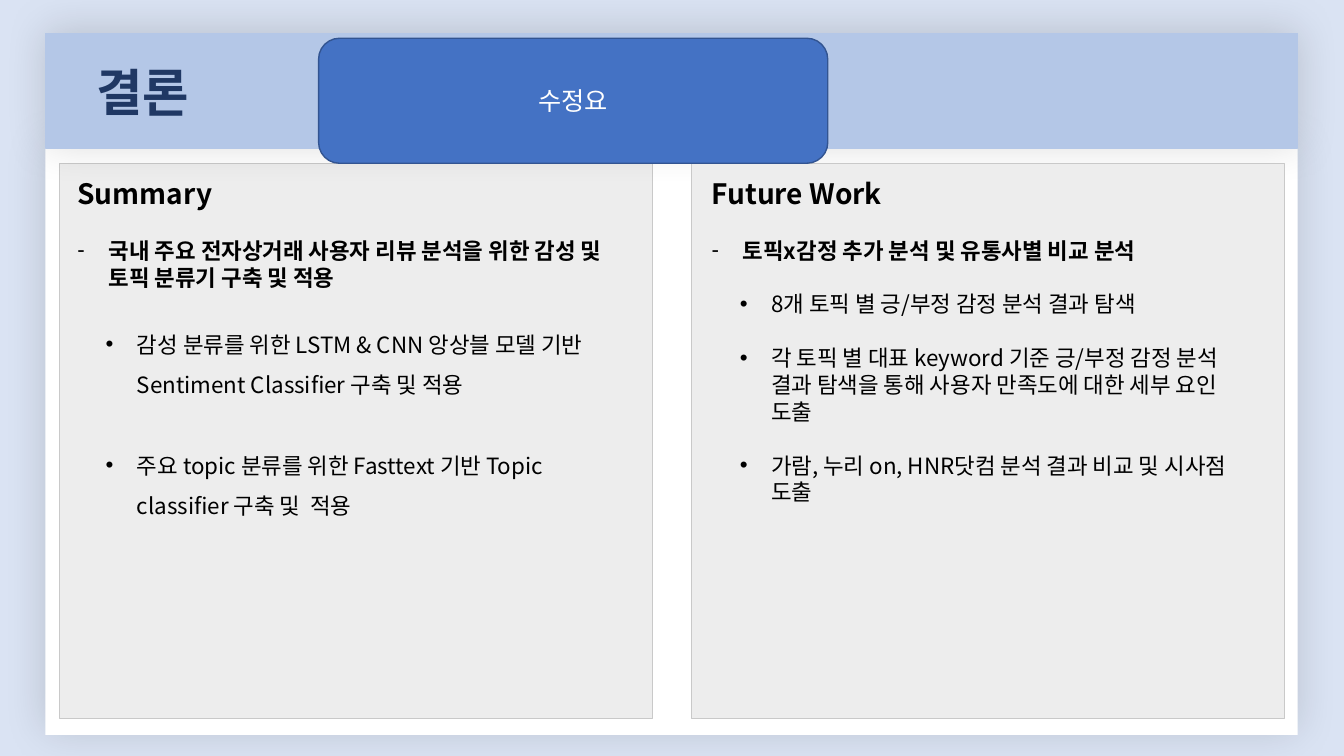
from dataclasses import dataclass

from lxml.etree import SubElement
from pptx import Presentation
from pptx.dml.color import RGBColor
from pptx.enum.shapes import MSO_SHAPE
from pptx.enum.text import MSO_ANCHOR, PP_ALIGN
from pptx.oxml.ns import qn
from pptx.util import Inches, Pt


@dataclass(frozen=True)
class Theme:
    background: str = "DAE3F3"
    page: str = "FFFFFF"
    panel: str = "EDEDED"
    panel_line: str = "C9C9C9"
    header: str = "B4C7E7"
    title: str = "203864"
    note: str = "4472C4"
    note_line: str = "325491"
    text: str = "000000"
    title_font: str = "Arial"
    font: str = "Noto Sans CJK KR"
    title_size: float = 36
    heading_size: float = 20
    note_size: float = 18
    body_size: float = 16
    line_ratio: float = 1.2


@dataclass(frozen=True)
class Box:
    left: float
    top: float
    width: float
    height: float

    def lengths(self):
        return [Inches(n) for n in (self.left, self.top, self.width, self.height)]


@dataclass(frozen=True)
class Item:
    text: str
    bullet: str = "•"
    indent: float = 0.59
    spacing: float = 1.0
    gap_lines: float = 1.0
    bold: bool = False


@dataclass(frozen=True)
class Panel:
    frame: Box
    text_box: Box
    heading: str
    items: tuple[Item, ...]


THEME = Theme()
HANGING = 0.31

PANELS = (
    Panel(Box(0.59, 1.62, 5.88, 5.51), Box(0.67, 1.7, 5.67, 4.34), "Summary", (
        Item("국내 주요 전자상거래 사용자 리뷰 분석을 위한 감성 및 토픽 분류기 구축 및 적용",
             bullet="-", indent=HANGING, bold=True),
        Item("감성 분류를 위한 LSTM & CNN 앙상블 모델 기반 Sentiment Classifier 구축 및 적용",
             spacing=1.5),
        Item("주요 topic 분류를 위한 Fasttext 기반 Topic classifier 구축 및  적용",
             spacing=1.5, gap_lines=1.5),
    )),
    Panel(Box(6.86, 1.62, 5.88, 5.51), Box(6.96, 1.7, 5.67, 4.21), "Future Work", (
        Item("토픽x감정 추가 분석 및 유통사별 비교 분석",
             bullet="-", indent=HANGING, bold=True),
        Item("8개 토픽 별 긍/부정 감정 분석 결과 탐색"),
        Item("각 토픽 별 대표 keyword 기준 긍/부정 감정 분석 결과 탐색을 통해 "
             "사용자 만족도에 대한 세부 요인 도출"),
        Item("가람, 누리 on, HNR닷컴 분석 결과 비교 및 시사점 도출"),
    )),
)


def add_block(slide, box: Box, fill: str, line: str | None = None,
              kind=MSO_SHAPE.RECTANGLE):
    shape = slide.shapes.add_shape(kind, *box.lengths())
    shape.shadow.inherit = False
    shape.fill.solid()
    shape.fill.fore_color.rgb = RGBColor.from_string(fill)
    if line:
        shape.line.color.rgb = RGBColor.from_string(line)
        shape.line.width = Pt(1)
    else:
        shape.line.fill.background()
    return shape


def add_soft_shadow(shape) -> None:
    effects = shape._element.spPr.find(qn("a:effectLst"))
    shadow = SubElement(effects, qn("a:outerShdw"), blurRad=str(Pt(30)),
                        dist=str(Pt(3)), dir=str(270 * 60000), rotWithShape="0")
    color = SubElement(shadow, qn("a:srgbClr"), val="000000")
    SubElement(color, qn("a:alpha"), val="15000")


def add_text_frame(slide, box: Box):
    frame = slide.shapes.add_textbox(*box.lengths()).text_frame
    frame.word_wrap = True
    return frame


def add_run(paragraph, text: str, size: float, color: str,
            bold: bool = False, font: str = THEME.font) -> None:
    run = paragraph.add_run()
    run.text = text
    run.font.size = Pt(size)
    run.font.bold = bold
    run.font.name = font
    run.font.color.rgb = RGBColor.from_string(color)
    SubElement(run._r.get_or_add_rPr(), qn("a:ea"), typeface=THEME.font)


def add_item(frame, item: Item) -> None:
    paragraph = frame.add_paragraph()
    properties = paragraph._p.get_or_add_pPr()
    properties.set("marL", str(Inches(item.indent)))
    properties.set("indent", str(Inches(-HANGING)))
    SubElement(properties, qn("a:buFont"), typeface=THEME.title_font)
    SubElement(properties, qn("a:buChar"), char=item.bullet)
    line_height = THEME.body_size * THEME.line_ratio
    paragraph.line_spacing = Pt(line_height * item.spacing)
    paragraph.space_before = Pt(line_height * item.gap_lines)
    add_run(paragraph, item.text, THEME.body_size, THEME.text, item.bold)


def add_panel(slide, panel: Panel) -> None:
    add_block(slide, panel.frame, THEME.panel, THEME.panel_line)
    frame = add_text_frame(slide, panel.text_box)
    heading = frame.paragraphs[0]
    heading.line_spacing = Pt(THEME.heading_size * THEME.line_ratio)
    add_run(heading, panel.heading, THEME.heading_size, THEME.text, bold=True)
    for item in panel.items:
        add_item(frame, item)


def main() -> None:
    presentation = Presentation()
    presentation.slide_width = Inches(13.33)
    presentation.slide_height = Inches(7.5)
    slide = presentation.slides.add_slide(presentation.slide_layouts[6])
    slide.background.fill.solid()
    slide.background.fill.fore_color.rgb = RGBColor.from_string(THEME.background)

    # White page and left panel, which the header's shadow falls on
    add_soft_shadow(add_block(slide, Box(0.45, 1.47, 12.42, 5.82), THEME.page))
    summary, future_work = PANELS
    add_panel(slide, summary)

    # Header band with title
    add_soft_shadow(add_block(slide, Box(0.45, 0.33, 12.42, 1.14),
                              THEME.header, THEME.header))
    title = add_text_frame(slide, Box(0.86, 0.55, 10.93, 0.71))
    title.vertical_anchor = MSO_ANCHOR.MIDDLE
    add_run(title.paragraphs[0], "결론", THEME.title_size, THEME.title,
            bold=True, font=THEME.title_font)

    # Right panel
    add_panel(slide, future_work)

    # Review note on top
    note = add_block(slide, Box(3.16, 0.38, 5.05, 1.24), THEME.note,
                     THEME.note_line, MSO_SHAPE.ROUNDED_RECTANGLE)
    note.text_frame.vertical_anchor = MSO_ANCHOR.MIDDLE
    paragraph = note.text_frame.paragraphs[0]
    paragraph.alignment = PP_ALIGN.CENTER
    add_run(paragraph, "수정요", THEME.note_size, THEME.page)

    presentation.save("out.pptx")


if __name__ == "__main__":
    main()
